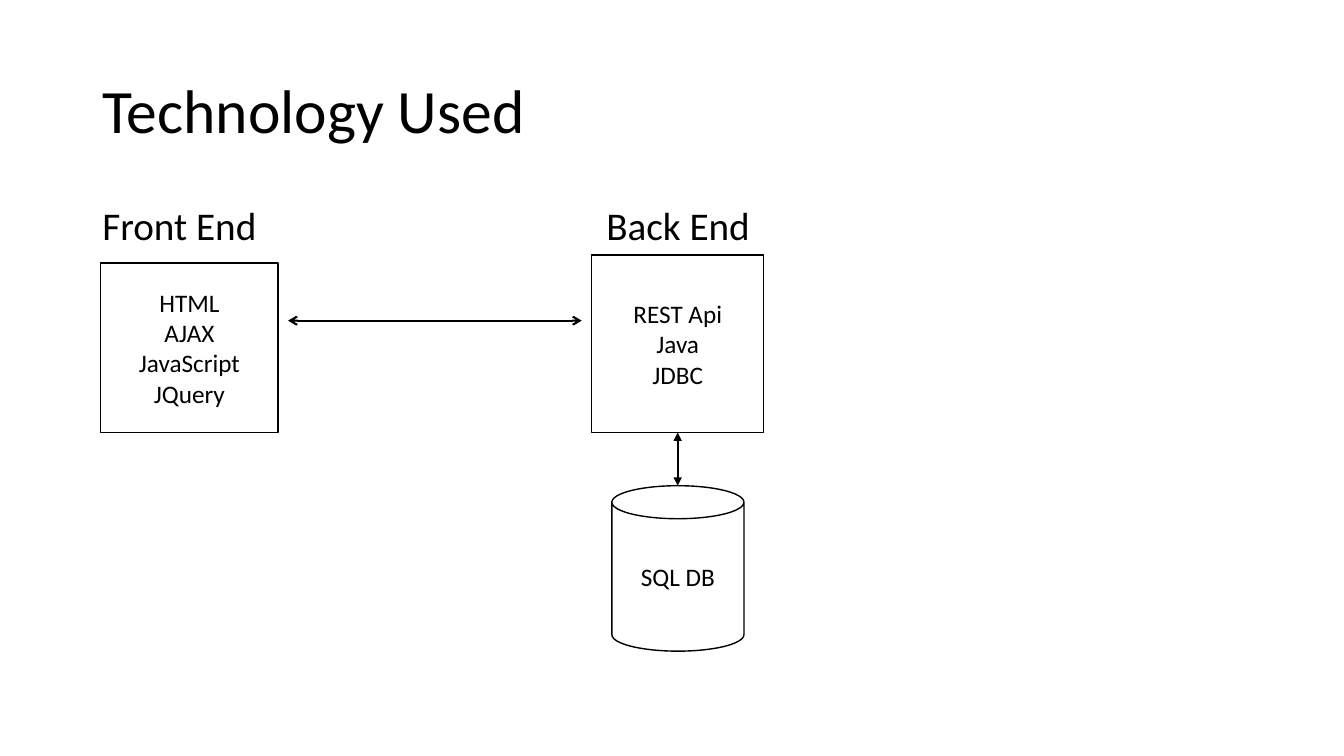
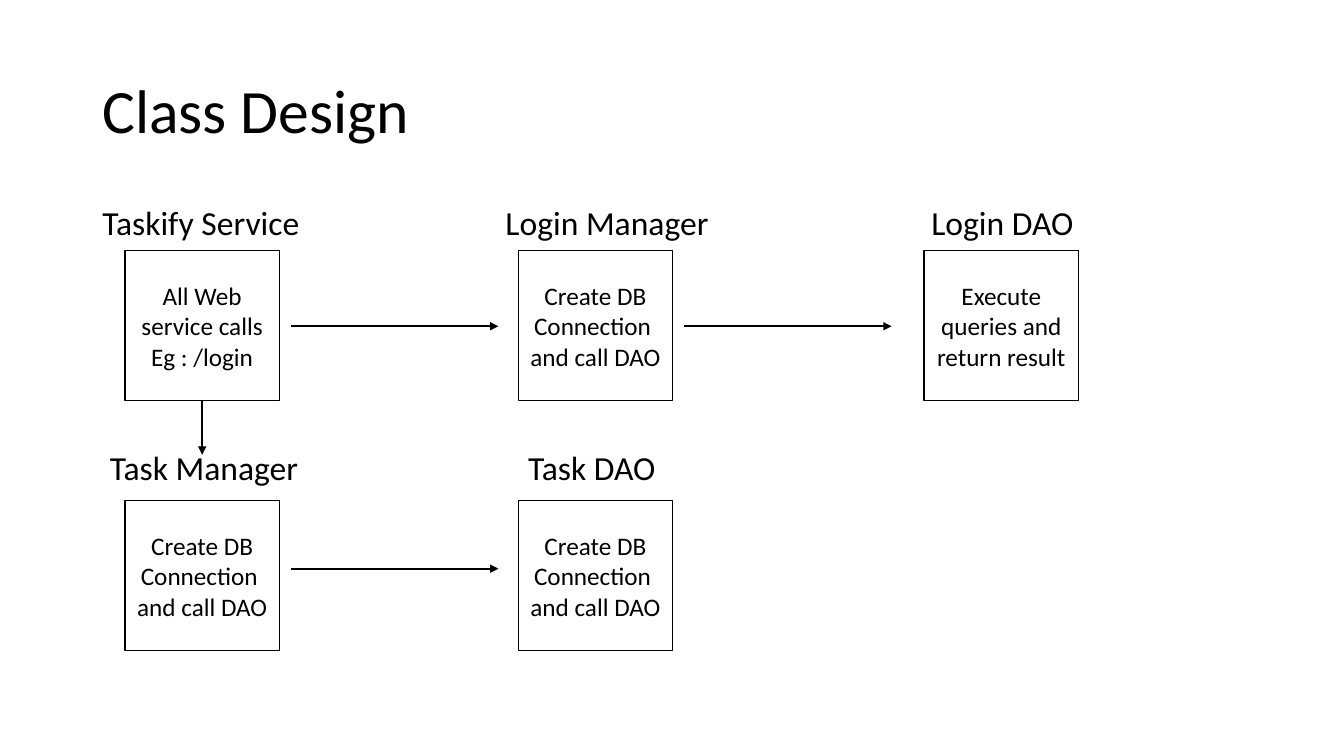
from lxml import etree
from pptx import Presentation
from pptx.dml.color import RGBColor
from pptx.enum import shapes, text
from pptx.oxml import ns
from pptx.util import Cm, Pt

COLORS = {"ink": "000000", "paper": "FFFFFF"}
FONT = "Calibri"
HEADING_TOP = 5.08

# Class design grid, in cm
COLUMNS = (3.15, 13.06, 23.29)
ROWS = (6.32, 12.62)
CELL_W, CELL_H = 3.89, 3.78
ARROW_GAP, ARROW_LENGTH = 0.3, 5.22


def color(name):
    return RGBColor.from_string(COLORS[name])


def write(frame, lines, size, align, anchor, spacing=1.0):
    """Fill a text frame with one paragraph per line."""
    frame.word_wrap = True
    frame.vertical_anchor = anchor
    for index, line in enumerate(lines):
        paragraph = frame.add_paragraph() if index else frame.paragraphs[0]
        paragraph.text = line
        paragraph.alignment = align
        paragraph.line_spacing = spacing
        paragraph.font.name = FONT
        paragraph.font.size = Pt(size)
        paragraph.font.color.rgb = color("ink")


def add_label(slide, words, left, top, width, height, size,
              anchor=text.MSO_ANCHOR.TOP):
    label = slide.shapes.add_textbox(Cm(left), Cm(top), Cm(width), Cm(height))
    write(label.text_frame, [words], size, text.PP_ALIGN.LEFT, anchor, 0.9)


def add_heading(slide, words, left, top, size):
    add_label(slide, words, left, top, 7, 1.3, size)


def add_titled_slide(deck, title):
    slide = deck.slides.add_slide(deck.slide_layouts[6])
    add_label(slide, title, 2.33, 1.02, 29.21, 3.68, 44,
              text.MSO_ANCHOR.MIDDLE)
    return slide


def add_node(slide, lines, left, top, width, height,
             preset=shapes.MSO_SHAPE.RECTANGLE):
    node = slide.shapes.add_shape(preset, Cm(left), Cm(top),
                                  Cm(width), Cm(height))
    node.shadow.inherit = False
    node.fill.solid()
    node.fill.fore_color.rgb = color("paper")
    node.line.color.rgb = color("ink")
    node.line.width = Pt(1)
    write(node.text_frame, lines, 18, text.PP_ALIGN.CENTER,
          text.MSO_ANCHOR.MIDDLE)


def add_arrow(slide, start, end, tip="triangle", both_ways=False):
    arrow = slide.shapes.add_connector(
        shapes.MSO_CONNECTOR.STRAIGHT, *(Cm(n) for n in (*start, *end)))
    arrow.line.color.rgb = color("ink")
    arrow.line.width = Pt(1.5)
    outline = arrow.line._get_or_add_ln()
    for tag in ("a:headEnd", "a:tailEnd") if both_ways else ("a:tailEnd",):
        etree.SubElement(outline, ns.qn(tag), type=tip)
    etree.SubElement(arrow._element.spPr, ns.qn("a:effectLst"))


def build_technology(deck):
    slide = add_titled_slide(deck, "Technology Used")
    add_heading(slide, "Front End", 2.33, HEADING_TOP, 28)
    add_heading(slide, "Back End", 15.03, HEADING_TOP, 28)

    # Tiers and database
    add_node(slide, ["HTML", "AJAX", "JavaScript", "JQuery"],
             2.54, 6.63, 4.47, 4.27)
    add_node(slide, ["REST Api", "Java", "JDBC"], 14.91, 6.43, 4.34, 4.47)
    add_node(slide, ["SQL DB"], 15.42, 12.24, 3.33, 4.17,
             shapes.MSO_SHAPE.CAN)

    # Two-way traffic
    add_arrow(slide, (7.26, 8.08), (14.66, 8.08), "arrow", both_ways=True)
    add_arrow(slide, (17.08, 10.9), (17.08, 12.24), both_ways=True)


def build_class_design(deck):
    slide = add_titled_slide(deck, "Class Design")
    connect = ["Create DB Connection ", "and call DAO"]

    # Heading, heading left, column, row, contents
    classes = [
        ("Taskify Service", 2.33, 0, 0,
         ["All Web service calls", "Eg : /login"]),
        ("Login Manager", 12.49, 1, 0, connect),
        ("Login DAO", 23.22, 2, 0, ["Execute queries and return result"]),
        ("Task Manager", 2.52, 0, 1, connect),
        ("Task DAO", 13.06, 1, 1, connect),
    ]
    heading_tops = (HEADING_TOP, 11.25)
    for heading, left, column, row, lines in classes:
        add_heading(slide, heading, left, heading_tops[row], 24)
        add_node(slide, lines, COLUMNS[column], ROWS[row], CELL_W, CELL_H)

    # Calls to the next class
    for column, y in ((0, 8.22), (1, 8.22), (0, 14.33)):
        x = COLUMNS[column] + CELL_W + ARROW_GAP
        add_arrow(slide, (x, y), (x + ARROW_LENGTH, y))
    service_middle = COLUMNS[0] + CELL_W / 2
    add_arrow(slide, (service_middle, ROWS[0] + CELL_H),
              (service_middle, 11.46))


def main():
    deck = Presentation()
    deck.slide_width, deck.slide_height = Cm(33.87), Cm(19.05)
    build_technology(deck)
    build_class_design(deck)
    deck.save("out.pptx")


if __name__ == "__main__":
    main()
